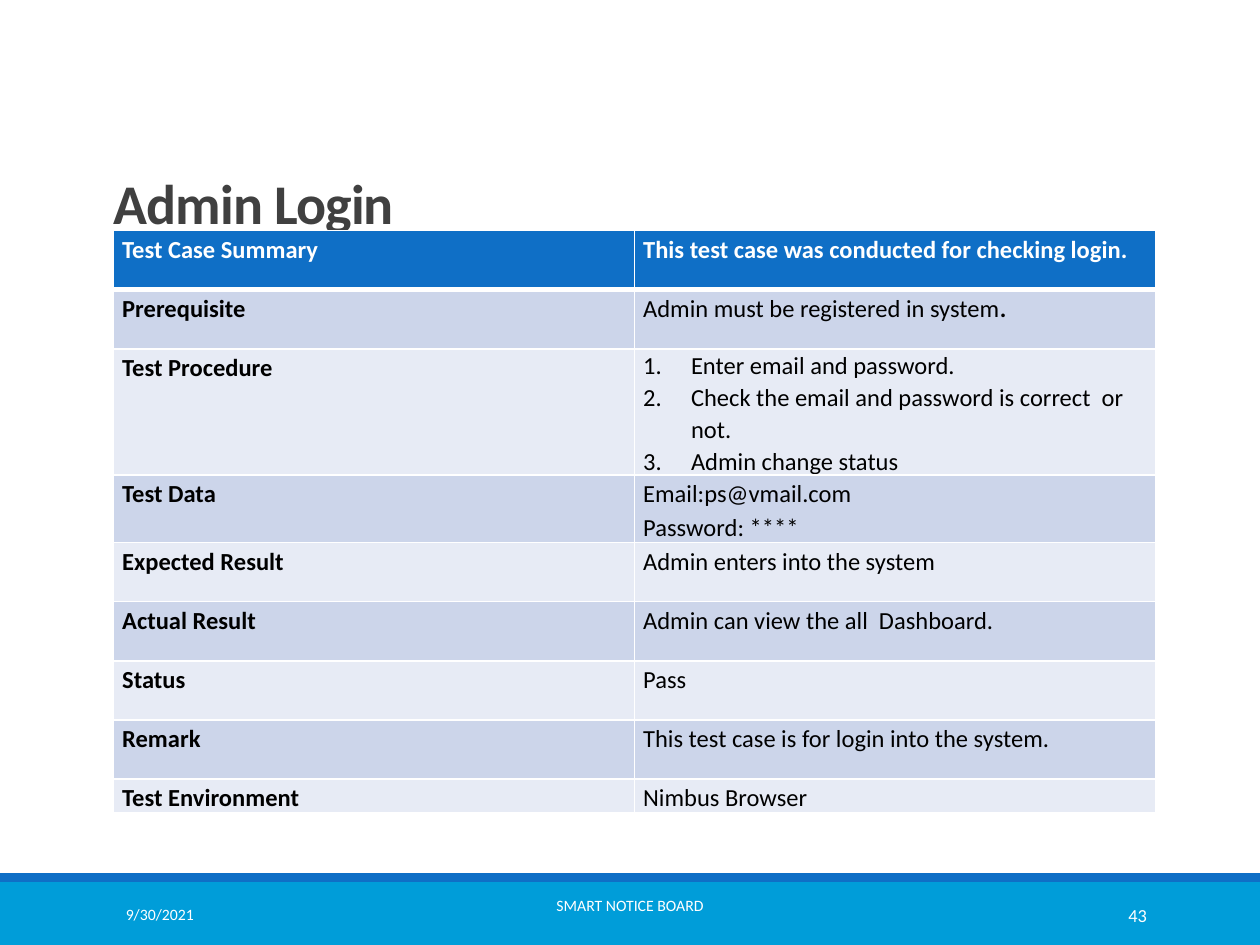
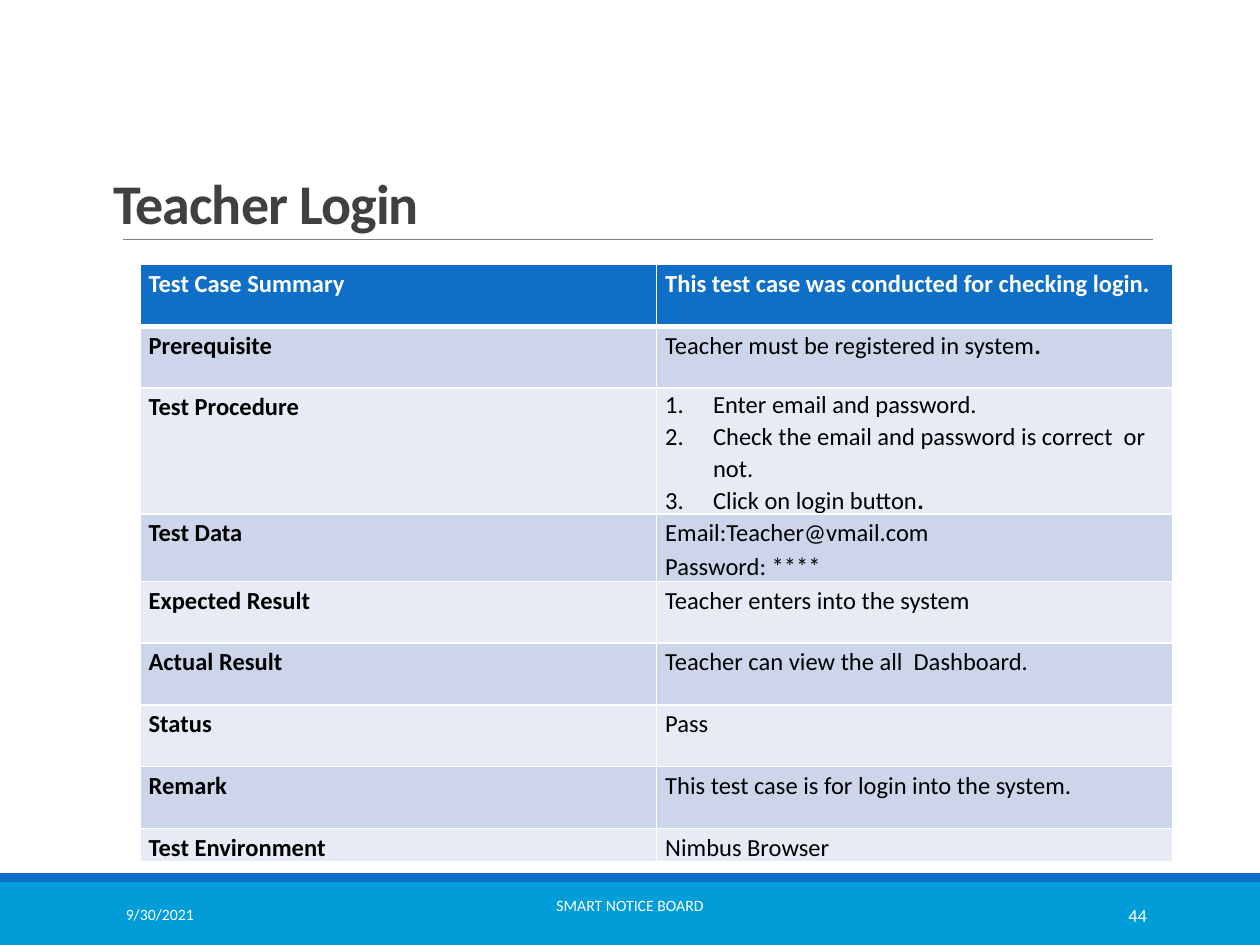
from pptx import Presentation
from pptx.dml.color import RGBColor
from pptx.enum.shapes import MSO_CONNECTOR, MSO_SHAPE
from pptx.enum.text import MSO_ANCHOR, PP_ALIGN
from pptx.oxml import parse_xml
from pptx.oxml.ns import nsdecls
from pptx.util import Inches, Pt

# Slide grid: 100 columns by 75 rows, each cell 0.1 inch
COLUMNS, ROWS = 100, 75
UNIT = Inches(10) / COLUMNS

FONT = "Calibri"
WHITE, BLACK = "FFFFFF", "000000"
TITLE_GREY, RULE_GREY = "404040", "808080"
BLUE, FOOTER_BLUE = "0F6FC6", "009DD9"
BANDS = ("E7EBF5", "CCD5EA")

LABELS = ("Test Case Summary", "Prerequisite", "Test Procedure", "Test Data",
          "Expected Result", "Actual Result", "Status", "Remark",
          "Test Environment")
PROCEDURE_ROW = LABELS.index("Test Procedure")


def grid(*cells):
    return [round(cell * UNIT) for cell in cells]


def color(hex_text):
    return RGBColor.from_string(hex_text)


def write_text(frame, paragraphs, size=14, ink=BLACK, bold=False,
               align=None, spacing=None, tracking=None, numbered=False):
    """Each paragraph is a string, or a pair of a text and its bold ending."""
    frame.word_wrap = True
    for index, content in enumerate(paragraphs):
        paragraph = frame.add_paragraph() if index else frame.paragraphs[0]
        paragraph.alignment = align
        paragraph.line_spacing = spacing
        if numbered:
            number_paragraph(paragraph)
        pieces = (content,) if isinstance(content, str) else content
        for position, piece in enumerate(pieces):
            run = paragraph.add_run()
            run.text = piece
            run.font.name = FONT
            run.font.size = Pt(size)
            run.font.bold = bold or position > 0
            run.font.color.rgb = color(ink)
            if tracking:
                run.font._element.set("spc", str(round(tracking * 100)))


def number_paragraph(paragraph):
    properties = paragraph._p.get_or_add_pPr()
    indent = Inches(0.38)
    properties.set("marL", str(indent))
    properties.set("indent", str(-indent))
    properties.append(parse_xml(
        f'<a:buFont {nsdecls("a")} typeface="+mj-lt"/>'))
    properties.append(parse_xml(
        f'<a:buAutoNum {nsdecls("a")} type="arabicPeriod"/>'))


def add_text(slide, area, text, anchor=MSO_ANCHOR.MIDDLE, bottom=0.05, **style):
    frame = slide.shapes.add_textbox(*grid(*area)).text_frame
    frame.vertical_anchor = anchor
    frame.margin_bottom = Inches(bottom)
    write_text(frame, [text], **style)


def add_band(slide, top, height, fill):
    shape = slide.shapes.add_shape(
        MSO_SHAPE.RECTANGLE, *grid(0, top, COLUMNS, height))
    shape.shadow.inherit = False
    shape.fill.solid()
    shape.fill.fore_color.rgb = color(fill)
    shape.line.fill.background()


def add_rule(slide, left, right, row):
    rule = slide.shapes.add_connector(
        MSO_CONNECTOR.STRAIGHT, *grid(left, row, right, row))
    rule.line.color.rgb = color(RULE_GREY)
    rule.line.width = Pt(0.5)
    rule._element.spPr.append(parse_xml(f'<a:effectLst {nsdecls("a")}/>'))


def set_borders(cell, **widths):
    properties = cell._tc.get_or_add_tcPr()
    for side in "LRTB":
        width = Pt(widths.get(side, 1))
        properties.append(parse_xml(
            f'<a:ln{side} {nsdecls("a")} w="{width}"><a:solidFill>'
            f'<a:srgbClr val="{WHITE}"/></a:solidFill></a:ln{side}>'))


def format_cell(cell, row):
    cell.margin_left = cell.margin_right = Inches(0.07)
    cell.margin_top = cell.margin_bottom = 0
    # The edge between the header and the first row is thicker
    set_borders(cell, T=3 if row == 1 else 1, B=3 if row == 0 else 1)
    cell.fill.solid()
    cell.fill.fore_color.rgb = color(BANDS[row % 2] if row else BLUE)


def add_test_table(slide, left, top, column_width, row_height, details):
    last_height = 2.3
    height = row_height * (len(LABELS) - 1) + last_height
    table = slide.shapes.add_table(
        len(LABELS), 2, *grid(left, top, 2 * column_width, height)).table
    table.horz_banding = False
    for column in table.columns:
        column.width, = grid(column_width)
    for row, (label, detail) in enumerate(zip(LABELS, details)):
        is_last = row == len(LABELS) - 1
        table.rows[row].height, = grid(last_height if is_last else row_height)
        ink = BLACK if row else WHITE
        numbered = row == PROCEDURE_ROW
        label_cell, detail_cell = table.cell(row, 0), table.cell(row, 1)
        format_cell(label_cell, row)
        format_cell(detail_cell, row)
        write_text(label_cell.text_frame, [label],
                   ink=ink, bold=True, spacing=1.15)
        write_text(detail_cell.text_frame, detail, ink=ink, bold=row == 0,
                   spacing=1.07 if numbered else 1.15, numbered=numbered)


def login_details(role, email, last_step):
    return (
        ["This test case was conducted for checking login."],
        [(f"{role} must be registered in system", ".")],
        ["Enter email and password.",
         "Check the email and password is correct  or not.", last_step],
        [f"Email:{email}", "Password: ****"],
        [f"{role} enters into the system"],
        [f"{role} can view the all  Dashboard."],
        ["Pass"],
        ["This test case is for login into the system."],
        ["Nimbus Browser"],
    )


def add_login_slide(presentation, title, number):
    slide = presentation.slides.add_slide(presentation.slide_layouts[6])
    # Footer bands and title rule
    add_band(slide, 70, 5, FOOTER_BLUE)
    add_band(slide, 69.3, 0.7, BLUE)
    add_rule(slide, 9.8, 91.5, 19)
    # Title
    add_text(slide, (8, 9.8, 82.5, 9.4), title, anchor=MSO_ANCHOR.BOTTOM,
             size=32, ink=TITLE_GREY, bold=True, spacing=0.85, tracking=-0.5)
    # Date, project name (set high in its box) and slide number
    add_text(slide, (9, 70.6, 20.3, 4), "9/30/2021", size=9, ink=WHITE)
    add_text(slide, (30.2, 70.6, 39.6, 4), "SMART NOTICE BOARD", bottom=0.2,
             size=9, ink=WHITE, align=PP_ALIGN.CENTER)
    add_text(slide, (81.2, 70.6, 10.8, 4), str(number),
             size=10.5, ink=WHITE, align=PP_ALIGN.RIGHT)
    return slide


def main():
    presentation = Presentation()
    presentation.slide_width, presentation.slide_height = grid(COLUMNS, ROWS)

    admin = add_login_slide(presentation, "Admin Login", 43)
    add_test_table(admin, 9, 18.3, 41.35, 4.7, login_details(
        "Admin", "ps@vmail.com", "Admin change status"))

    teacher = add_login_slide(presentation, "Teacher Login", 44)
    add_test_table(teacher, 11.1, 21, 41, 4.9, login_details(
        "Teacher", "Teacher@vmail.com", ("Click on login button", ".")))

    presentation.save("out.pptx")


if __name__ == "__main__":
    main()
